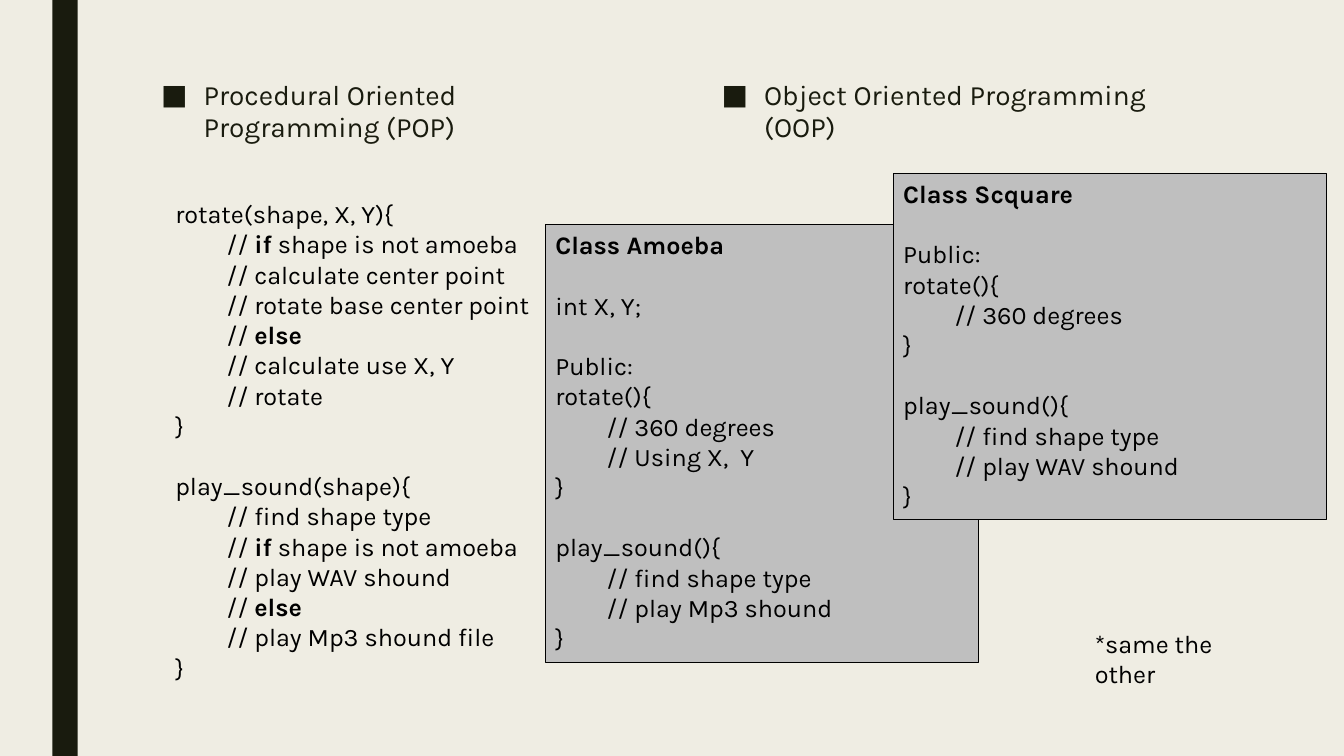
import pptx
import pptx.util
import pptx.dml.color
import pptx.enum.shapes
import pptx.enum.text
import pptx.oxml
import pptx.oxml.ns
import lxml.etree

Inches = pptx.util.Inches
Pt = pptx.util.Pt
RGBColor = pptx.dml.color.RGBColor

FONT = "Karla"
CREAM = RGBColor(0xEF, 0xED, 0xE3)
DARK = RGBColor(0x19, 0x1B, 0x0E)
GRAY = RGBColor(0xBF, 0xBF, 0xBF)
BLACK = RGBColor(0, 0, 0)

HEADINGS = [
    ("Procedural Oriented Programming (POP)", 1.5),
    ("Object Oriented Programming (OOP)", 7.06),
]

PROCEDURES = [
    [
        "rotate(shape, X, Y){",
        "\t// **if** shape is not amoeba",
        "\t// calculate center point",
        "\t// rotate base center point",
        "\t// **else**",
        "\t// calculate use X, Y",
        "\t// rotate",
        "}",
    ],
    [
        "play_sound(shape){",
        "\t// find shape type",
        "\t// **if** shape is not amoeba",
        "\t// play WAV shound",
        "\t// **else**",
        "\t// play Mp3 shound file",
        "}",
    ],
]

AMOEBA = [
    ["**Class Amoeba**"],
    ["int X, Y;"],
    ["Public:", "rotate(){", "\t// 360 degrees", "\t// Using X,  Y", "}"],
    ["play_sound(){", "\t// find shape type", "\t// play Mp3 shound", "}"],
]

SQUARE = [
    ["**Class Scquare**"],
    ["Public:", "rotate(){", "\t// 360 degrees", "}"],
    ["play_sound(){", "\t// find shape type", "\t// play WAV shound", "}"],
]

NOTE = [["*same the other"]]

BLOCKS = [
    (PROCEDURES, (1.64, 1.92, 4.3, 4.95), None),
    (AMOEBA, (5.41, 2.23, 4.3, 4.34), GRAY),
    (SQUARE, (8.86, 1.72, 4.3, 3.43), GRAY),
    (NOTE, (10.76, 6.18, 1.97, 0.4), None),
]

CODE_SIZE = 18
LINE_GAP = 21.5
TAB_STOP = 0.51


def add_box(slide, box, fill=None, line=None):
    lengths = [Inches(value) for value in box]
    if fill is None:
        shape = slide.shapes.add_textbox(*lengths)
    else:
        rectangle = pptx.enum.shapes.MSO_SHAPE.RECTANGLE
        shape = slide.shapes.add_shape(rectangle, *lengths)
        shape.shadow.inherit = False
        shape.fill.solid()
        shape.fill.fore_color.rgb = fill
        if line is None:
            shape.line.fill.background()
        else:
            shape.line.color.rgb = line
            shape.line.width = Pt(0.75)
    shape.text_frame.word_wrap = True
    shape.text_frame.vertical_anchor = pptx.enum.text.MSO_ANCHOR.TOP
    return shape


def format_run(run, size, color, bold=False):
    run.font.name = FONT
    run.font.size = Pt(size)
    run.font.color.rgb = color
    run.font.bold = bold


def add_property(paragraph, tag, **attributes):
    properties = paragraph._p.get_or_add_pPr()
    return lxml.etree.SubElement(properties, pptx.oxml.ns.qn(tag), **attributes)


def add_heading(slide, text, left):
    shape = add_box(slide, (left, 0.75, 4.91, 5.67))
    shape.text_frame.text = text
    paragraph = shape.text_frame.paragraphs[0]
    paragraph.line_spacing = 0.94
    format_run(paragraph.runs[0], 20, DARK)
    properties = paragraph._p.get_or_add_pPr()
    indent = Inches(0.42)
    properties.set("marL", str(indent))
    properties.set("indent", str(-indent))
    add_property(paragraph, "a:buFont", typeface=FONT)
    add_property(paragraph, "a:buChar", char="■")


def add_code(slide, groups, box, fill):
    frame = add_box(slide, box, fill, BLACK).text_frame
    for group_index, group in enumerate(groups):
        for line_index, line in enumerate(group):
            first = group_index == 0 and line_index == 0
            paragraph = frame.paragraphs[0] if first else frame.add_paragraph()
            paragraph.alignment = pptx.enum.text.PP_ALIGN.LEFT
            if group_index > 0 and line_index == 0:
                paragraph.space_before = Pt(LINE_GAP)
            if line.startswith("\t"):
                tabs = add_property(paragraph, "a:tabLst")
                lxml.etree.SubElement(
                    tabs, pptx.oxml.ns.qn("a:tab"), pos=str(Inches(TAB_STOP)), algn="l"
                )
            for part_index, part in enumerate(line.split("**")):
                if part:
                    run = paragraph.add_run()
                    run.text = part
                    format_run(run, CODE_SIZE, BLACK, part_index % 2 == 1)


def main():
    presentation = pptx.Presentation()
    presentation.slide_width = Inches(13.33)
    presentation.slide_height = Inches(7.5)
    slide = presentation.slides.add_slide(presentation.slide_layouts[6])
    slide.background.fill.solid()
    slide.background.fill.fore_color.rgb = CREAM
    add_box(slide, (0.52, 0, 0.25, 7.5), DARK)
    for text, left in HEADINGS:
        add_heading(slide, text, left)
    for groups, box, fill in BLOCKS:
        add_code(slide, groups, box, fill)
    presentation.save("out.pptx")


if __name__ == "__main__":
    main()
